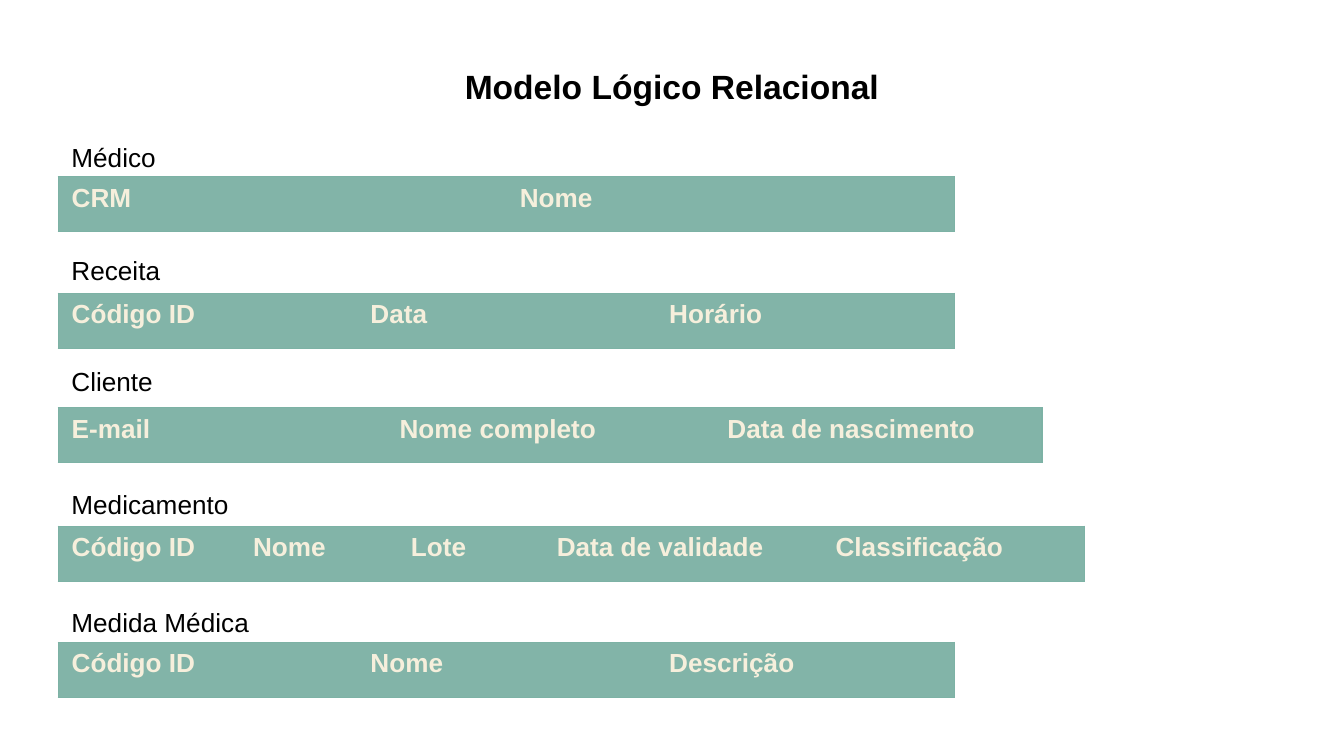
from lxml.etree import SubElement
from pptx import Presentation
from pptx.dml.color import RGBColor
from pptx.enum.text import MSO_AUTO_SIZE as AutoSize, PP_ALIGN as Align
from pptx.oxml.ns import qn
from pptx.util import Inches, Pt

# Widescreen slide, 16:9
deck = Presentation()
deck.slide_width = Inches(10)
deck.slide_height = deck.slide_width * 9 // 16
slide = deck.slides.add_slide(deck.slide_layouts[6])

# Square grid: 100 units across the slide
UNIT = deck.slide_width / 100
LEFT, ROW_HEIGHT, LABEL_HEIGHT = 4.33, 4.1, 3.4
GREEN, EDGE, CREAM, BLACK = "82B4A8", "7DB2A5", "F6EFDC", "000000"


def write(frame, text, color, size=14, bold=False, align=Align.LEFT):
    paragraph = frame.paragraphs[0]
    paragraph.alignment = align
    run = paragraph.add_run()
    run.text = text
    for key, value in {"name": "Arial", "size": Pt(size), "bold": bold}.items():
        setattr(run.font, key, value)
    run.font.color.rgb = RGBColor.from_string(color)


def add_text(box, text, **style):
    frame = slide.shapes.add_textbox(*(round(n * UNIT) for n in box)).text_frame
    frame.word_wrap = True
    frame.auto_size = AutoSize.SHAPE_TO_FIT_TEXT
    write(frame, text, BLACK, **style)


# Entity: label top, label width, table top, column widths, attributes
entities = {
    "Médico": (10, 11, 13.15, [33.35] * 2, ["CRM", "Nome"]),
    "Receita": (18.43, 11, 21.82, [22.23] * 3, ["Código ID", "Data", "Horário"]),
    "Cliente": (26.7, 11, 30.34, [24.4] * 3,
                ["E-mail", "Nome completo", "Data de nascimento"]),
    "Medicamento": (35.84, 15, 39.16, [13.5, 11.75, 10.85, 20.75, 19.55],
                    ["Código ID", "Nome", "Lote", "Data de validade", "Classificação"]),
    "Medida Médica": (44.6, 17.3, 47.8, [22.23] * 3,
                      ["Código ID", "Nome", "Descrição"]),
}

# Attribute rows
for _, _, top, widths, attributes in entities.values():
    box = (LEFT, top, sum(widths), ROW_HEIGHT)
    table = slide.shapes.add_table(
        1, len(widths), *(round(n * UNIT) for n in box)).table
    table.first_row = table.horz_banding = False
    last = len(widths) - 1
    for i, (width, attribute) in enumerate(zip(widths, attributes)):
        table.columns[i].width = round(width * UNIT)
        cell = table.cell(0, i)
        write(cell.text_frame, attribute, CREAM, bold=True)

        # Outer borders only; they precede the fill in the cell properties
        properties = cell._tc.get_or_add_tcPr()
        visible = {"L": i == 0, "R": i == last, "T": True, "B": True}
        for side, shown in visible.items():
            line = SubElement(properties, qn(f"a:ln{side}"), w=str(Pt(0.75)))
            if shown:
                paint = SubElement(line, qn("a:solidFill"))
                SubElement(paint, qn("a:srgbClr"), val=EDGE)
            else:
                SubElement(line, qn("a:noFill"))
        cell.fill.solid()
        cell.fill.fore_color.rgb = RGBColor.from_string(GREEN)

# Title
add_text((32.6, 4.4, 34.8, 4), "Modelo Lógico Relacional",
         size=18, bold=True, align=Align.CENTER)

# Entity labels
for entity, (label_top, label_width, *_) in entities.items():
    add_text((LEFT, label_top, label_width, LABEL_HEIGHT), entity)

deck.save("out.pptx")
